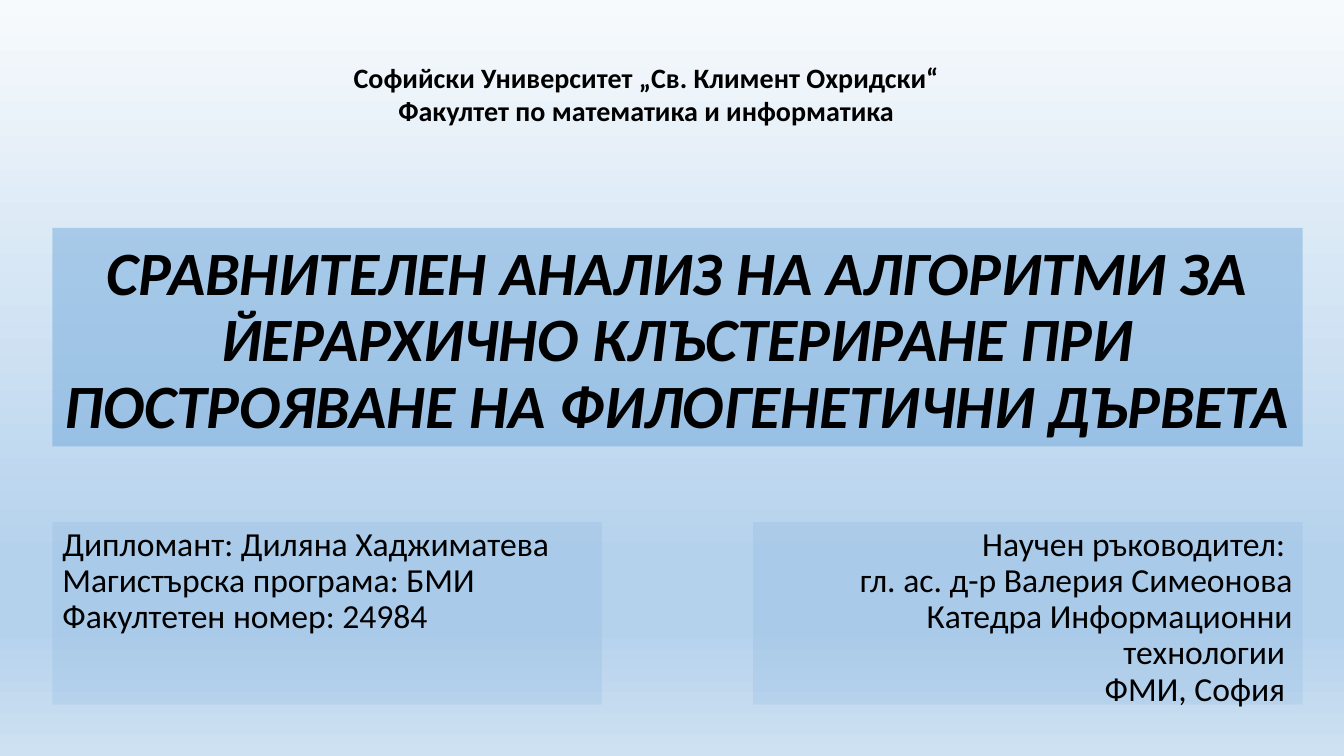
import pptx
import pptx.util
from lxml import etree
from pptx.dml.color import RGBColor
from pptx.enum.shapes import MSO_SHAPE
from pptx.enum.text import MSO_ANCHOR, PP_ALIGN
from pptx.oxml import parse_xml
from pptx.oxml.ns import nsdecls, qn

# Content
UNIVERSITY = ["Софийски Университет „Св. Климент Охридски“",
              "Факултет по математика и информатика"]
TITLE = ["СРАВНИТЕЛЕН АНАЛИЗ НА АЛГОРИТМИ ЗА ЙЕРАРХИЧНО КЛЪСТЕРИРАНЕ "
         "ПРИ ПОСТРОЯВАНЕ НА ФИЛОГЕНЕТИЧНИ ДЪРВЕТА"]
STUDENT = ["Дипломант: Диляна Хаджиматева",
           "Магистърска програма: БМИ",
           "Факултетен номер: 24984"]
SUPERVISOR = ["Научен ръководител: ",
              "гл. ас. д-р Валерия Симеонова",
              "Катедра Информационни технологии ",
              "ФМИ, София "]

THEME = {
    "font": "Calibri", "ink": "000000", "panel": "5B9BD5",
    "title_size": 44, "body_size": 24, "header_size": 20,
    "title_alpha": 40, "body_alpha": 13, "spacing": 0.9,
    "sky": [(0, "F7FAFD"), (74, "B5D2EC"), (83, "B5D2EC"), (100, "CEE1F2")],
}

# Layout in inches: both lower panels align with the title's edges
WIDTH, HEIGHT = 13.33, 7.5
LEFT, CONTENT_WIDTH = 0.52, 12.4
PANEL_WIDTH, PANEL_TOP, PANEL_HEIGHT = 5.45, 5.18, 1.81
HEADER_AREA = (2.3, 0.55, 8.22, 0.77)
TITLE_AREA = (LEFT, 2.26, CONTENT_WIDTH, 2.17)
STUDENT_AREA = (LEFT, PANEL_TOP, PANEL_WIDTH, PANEL_HEIGHT)
SUPERVISOR_AREA = (LEFT + CONTENT_WIDTH - PANEL_WIDTH, PANEL_TOP,
                   PANEL_WIDTH, PANEL_HEIGHT)


def paint_background(page):
    stops = "".join(f'<a:gs pos="{share * 1000}"><a:srgbClr val="{color}"/></a:gs>'
                    for share, color in THEME["sky"])
    gradient = parse_xml(f'<a:gradFill {nsdecls("a")} rotWithShape="1">'
                         f'<a:gsLst>{stops}</a:gsLst>'
                         '<a:lin ang="5400000" scaled="0"/></a:gradFill>')
    page.background.fill.solid()
    solid = page.background._cSld.find(".//" + qn("a:solidFill"))
    solid.getparent().replace(solid, gradient)


def add_panel(page, area, alpha):
    panel = page.shapes.add_shape(MSO_SHAPE.RECTANGLE, *map(pptx.util.Inches, area))
    panel.shadow.inherit = False
    panel.line.fill.background()
    panel.fill.solid()
    panel.fill.fore_color.rgb = RGBColor.from_string(THEME["panel"])
    color = panel.fill._xPr.find(".//" + qn("a:srgbClr"))
    etree.SubElement(color, qn("a:alpha")).set("val", str(alpha * 1000))
    return panel


def write(box, lines, size, align, anchor=MSO_ANCHOR.TOP, spacing=None,
          bold=False, italic=False):
    frame = box.text_frame
    frame.word_wrap = True
    frame.vertical_anchor = anchor
    for index, line in enumerate(lines):
        para = frame.add_paragraph() if index else frame.paragraphs[0]
        para.alignment = align
        para.line_spacing = spacing
        span = para.add_run()
        span.text = line
        span.font.name = THEME["font"]
        span.font.size = pptx.util.Pt(size)
        span.font.bold = bold
        span.font.italic = italic
        span.font.color.rgb = RGBColor.from_string(THEME["ink"])


def main():
    deck = pptx.Presentation()
    deck.slide_width = pptx.util.Inches(WIDTH)
    deck.slide_height = pptx.util.Inches(HEIGHT)
    page = deck.slides.add_slide(deck.slide_layouts[6])
    paint_background(page)

    # University header
    header = page.shapes.add_textbox(*map(pptx.util.Inches, HEADER_AREA))
    write(header, UNIVERSITY, THEME["header_size"], PP_ALIGN.CENTER, bold=True)

    # Thesis title
    title = add_panel(page, TITLE_AREA, THEME["title_alpha"])
    write(title, TITLE, THEME["title_size"], PP_ALIGN.CENTER, MSO_ANCHOR.BOTTOM,
          THEME["spacing"], bold=True, italic=True)

    # Student and supervisor
    for area, lines, align in ((STUDENT_AREA, STUDENT, PP_ALIGN.LEFT),
                               (SUPERVISOR_AREA, SUPERVISOR, PP_ALIGN.RIGHT)):
        panel = add_panel(page, area, THEME["body_alpha"])
        write(panel, lines, THEME["body_size"], align, spacing=THEME["spacing"])

    deck.save("out.pptx")


if __name__ == "__main__":
    main()
